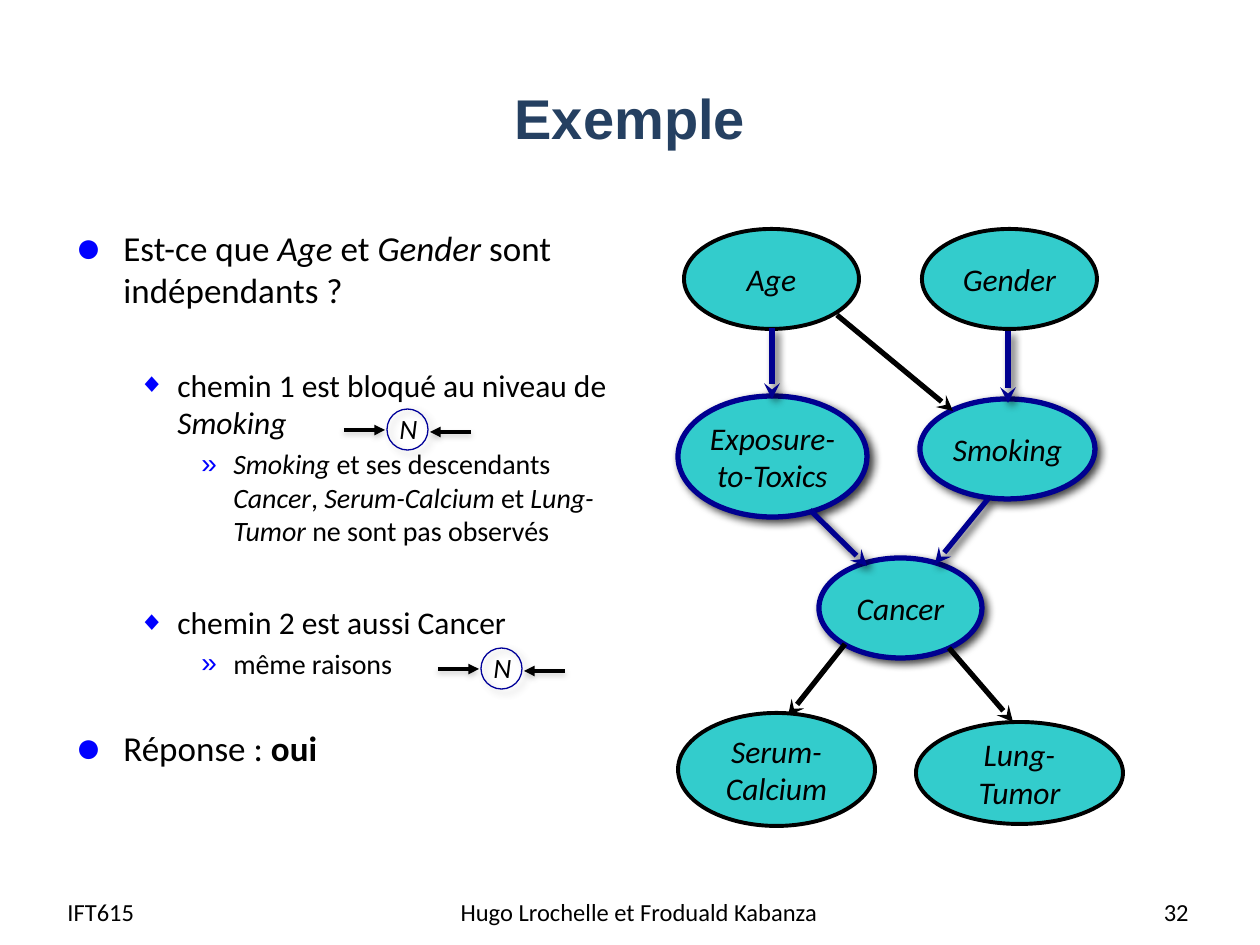
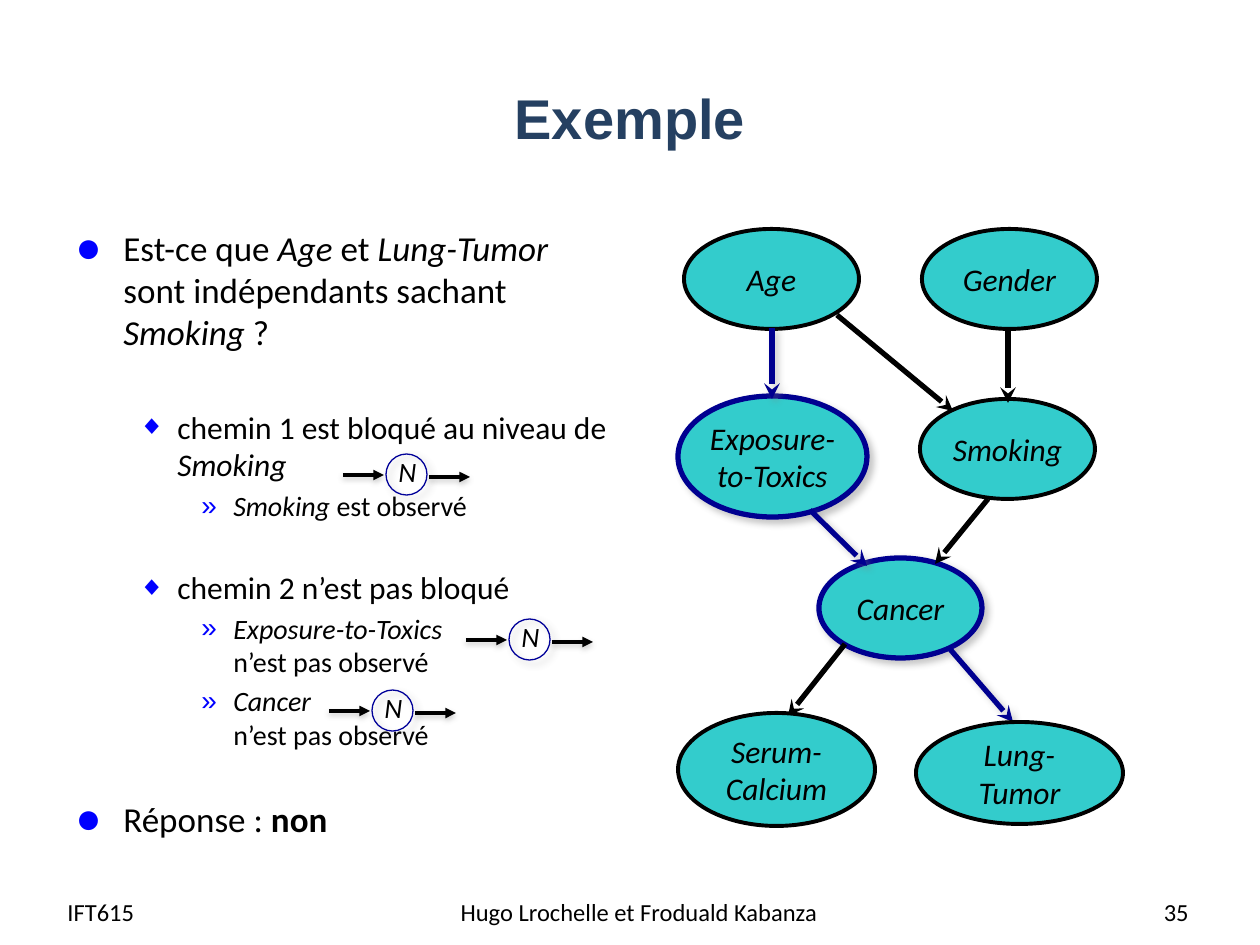
from dataclasses import dataclass

from lxml import etree
from pptx import Presentation
from pptx import util as u
from pptx.dml.color import RGBColor
from pptx.enum import shapes, text
from pptx.oxml import ns

SCALE = 914400 / 126


@dataclass(frozen=True)
class Theme:
    """Colours, fonts, type sizes and shadows of the deck."""
    ink: str = "000000"
    title: str = "254061"
    bullet: str = "0000FF"
    node: str = "33CCCC"
    hot: str = "000090"
    ring: str = "000099"
    head: str = "Arial"
    body: str = "Calibri"
    big: int = 32
    label: int = 18
    mark: int = 16
    foot: int = 14
    strong: tuple = ("000000", 75, 5, 3, 45)
    soft: tuple = ("808080", 43, 4, 3, 45)
    faint: tuple = ("808080", 38, 3.1, 1.6, 90)


T = Theme()

LEVELS = [
    dict(size=20, left=48, hang=48, char="●", pct=125),
    dict(size=18, left=102, hang=39, char="◆", pct=85),
    dict(size=16, left=158, hang=32, char="»", pct=100),
]

NODES = {
    "Smoking": (920, 399, 175, 100),
    "Gender": (922, 229, 175, 100),
    "Age": (684, 229, 175, 100),
    "Cancer": (819, 558, 163, 100),
    "Lung-\nTumor": (916, 722, 207, 102),
    "Serum-\nCalcium": (678, 713, 197, 113),
    "Exposure-\nto-Toxics": (678, 396, 189, 121),
}
SMOKE, GENDER, AGE, CANCER, LUNG, SERUM, TOXICS = NODES

EDGES = {
    (GENDER, SMOKE): (1008, 331, 1008, 403),
    (AGE, SMOKE): (837, 315, 953, 411),
    (SMOKE, CANCER): (988, 499, 935, 564),
    (CANCER, LUNG): (949, 648, 1013, 722),
    (CANCER, SERUM): (845, 644, 788, 716),
    (TOXICS, CANCER): (810, 510, 867, 566),
    (AGE, TOXICS): (772, 328, 772, 399),
}

LAYERS = [
    ([SMOKE, GENDER, AGE, CANCER], list(EDGES)[:5]),
    ([LUNG, SERUM, TOXICS], list(EDGES)[5:]),
]

SLIDES = [
    dict(
        page="32", shade=T.strong, inward=True, lift=4,
        hot=[SMOKE, CANCER, TOXICS, (GENDER, SMOKE), (SMOKE, CANCER),
             (TOXICS, CANCER), (AGE, TOXICS)],
        marks=[(387, 409), (481, 648)],
        lines=[
            (0, 0, "Est-ce que |Age| et |Gender |sont indépendants ?"),
            (1, 20, "chemin 1 est bloqué au niveau de |Smoking"),
            (2, 0, "|Smoking| et ses descendants |Cancer|, |Serum-Calcium"
                   "| et |Lung-Tumor| ne sont pas observés"),
            (1, 20, "chemin 2 est aussi Cancer"),
            (2, 0, "même raisons"),
        ],
        answer="oui",
    ),
    dict(
        page="35", shade=T.soft, inward=False, lift=6,
        hot=[CANCER, TOXICS, (CANCER, LUNG), (TOXICS, CANCER), (AGE, TOXICS)],
        marks=[(386, 454), (509, 619), (372, 690)],
        lines=[
            (0, 0, "Est-ce que |Age| et |Lung-Tumor| sont indépendants "
                   "sachant |Smoking| ?"),
            (1, 20, "chemin 1 est bloqué au niveau de |Smoking"),
            (2, 0, "|Smoking| est observé"),
            (1, 16, "chemin 2 n’est pas bloqué"),
            (2, 0, "|Exposure-to-Toxics|\nn’est pas observé"),
            (2, 0, "|Cancer|\nn’est pas observé"),
        ],
        answer="non",
    ),
]


def px(*nums):
    """Turn px lengths into EMU."""
    return [u.Emu(round(n * SCALE)) for n in nums]


def put(item, form):
    """Set attributes of an item from a dict."""
    for name, value in form.items():
        setattr(item, name, value)


def style(font, size, color=T.ink, **form):
    """Format a font."""
    put(font, {"name": T.body, "size": u.Pt(size), **form})
    font.color.rgb = RGBColor.from_string(color)


def stroke(item, color, width):
    """Set the outline of a shape or connector."""
    item.line.color.rgb = RGBColor.from_string(color)
    item.line.width = u.Pt(width)


def node(parent, tag, **attrs):
    """Append a drawing element to a parent."""
    return etree.SubElement(parent, ns.qn(tag), attrs)


def shade(item, shadow):
    """Replace the inherited shadow by the given one, or by none."""
    effects = node(item.element.spPr, "a:effectLst")
    if shadow:
        color, alpha, blur, dist, angle = shadow
        outer = node(effects, "a:outerShdw", blurRad=str(u.Pt(blur)),
                     dist=str(u.Pt(dist)), dir=str(angle * 60000),
                     algn="ctr", rotWithShape="0")
        fill = node(outer, "a:srgbClr", val=color)
        node(fill, "a:alpha", val=str(alpha * 1000))


def arrow(slide, ends, color, width, tip, shadow):
    """Draw a straight arrow with its tip at the second end."""
    line = slide.shapes.add_connector(
        shapes.MSO_CONNECTOR.STRAIGHT, *px(*ends))
    stroke(line, color, width)
    node(line.element.spPr.find(ns.qn("a:ln")), "a:tailEnd", type=tip)
    shade(line, shadow)


def oval(slide, box, color, width, shadow, fill=None):
    """Draw an ellipse, unfilled unless a fill is given."""
    shape = slide.shapes.add_shape(shapes.MSO_SHAPE.OVAL, *px(*box))
    if fill:
        shape.fill.solid()
        shape.fill.fore_color.rgb = RGBColor.from_string(fill)
    else:
        shape.fill.background()
    stroke(shape, color, width)
    shade(shape, shadow)
    return shape


def label(slide, box, words, size, align, wrap=True, **form):
    """Place a text box with one formatted line."""
    frame = slide.shapes.add_textbox(*px(*box)).text_frame
    put(frame, dict(word_wrap=wrap, vertical_anchor=text.MSO_ANCHOR.MIDDLE))
    para = frame.paragraphs[0]
    para.alignment = align
    run = para.add_run()
    run.text = words
    style(run.font, size, **form)


def title(slide, words):
    """Place and format the title."""
    shape = slide.shapes.title
    put(shape, dict(zip(("left", "top", "width", "height"),
                        px(63, 38, 1134, 158))))
    frame = shape.text_frame
    frame.text = words
    frame.vertical_anchor = text.MSO_ANCHOR.MIDDLE
    para = frame.paragraphs[0]
    para.alignment = text.PP_ALIGN.CENTER
    style(para.runs[0].font, T.big, T.title, name=T.head, bold=True)


def bullet(para, level, before):
    """Set indents, spacing and bullet of a paragraph."""
    para.space_before = u.Pt(before)
    left, hang = px(level["left"], -level["hang"])
    props = para._p.get_or_add_pPr()
    props.set("marL", str(left))
    props.set("indent", str(hang))
    node(node(props, "a:buClr"), "a:srgbClr", val=T.bullet)
    node(props, "a:buSzPct", val=str(level["pct"] * 1000))
    node(props, "a:buFont", typeface=T.head)
    node(props, "a:buChar", char=level["char"])


def body(slide, lines, answer):
    """Write the bulleted argument and its answer."""
    frame = slide.shapes.add_textbox(*px(63, 220, 557, 624)).text_frame
    frame.word_wrap = True
    rows = [(*line, "italic") for line in lines]
    rows.append((0, 16, f"Réponse : |{answer}", "bold"))
    for i, (depth, gap, words, accent) in enumerate(rows):
        para = frame.add_paragraph() if i else frame.paragraphs[0]
        level = LEVELS[depth]
        size = level["size"]
        bullet(para, level, round(0.2 * size + 1.4 * gap, 1) if i else 0)
        for j, part in enumerate(words.split("|")):
            if part.startswith("\n"):
                para.add_line_break()
            if part:
                run = para.add_run()
                run.text = part.lstrip("\n")
                style(run.font, size, **{accent: j % 2 == 1})


def graph(slide, hot, shadow):
    """Draw the network with its active path highlighted."""
    for names, links in LAYERS:
        for name in names:
            lit = name in hot
            shape = oval(slide, NODES[name], T.hot if lit else T.ink,
                         3 if lit else 2.25, shadow if lit else None, T.node)
            frame = shape.text_frame
            put(frame, dict(text=name, word_wrap=False,
                            vertical_anchor=text.MSO_ANCHOR.MIDDLE))
            for para in frame.paragraphs:
                para.alignment = text.PP_ALIGN.CENTER
                style(para.runs[0].font, T.label, italic=True)
        for link in links:
            lit = link in hot
            arrow(slide, EDGES[link], T.hot if lit else T.ink, 3, "stealth",
                  shadow if lit else None)


def mark(slide, x, y, inward, lift):
    """Draw a small node N between two arrows."""
    arrow(slide, (x - 43, y + 21, x - 2, y + 21), T.ink, 2, "triangle",
          T.faint)
    oval(slide, (x, y, 41, 41), T.ring, 0.75, T.soft)
    near, far = x + 43, x + 84
    start, end = (far, near) if inward else (near, far)
    arrow(slide, (start, y + 23, end, y + 23), T.ink, 2, "triangle", T.faint)
    label(slide, (x, y - lift, 47, 47), "N", T.mark, text.PP_ALIGN.LEFT,
          wrap=False, italic=True)


def footer(slide, page):
    """Write course, authors and page number."""
    for left, width, words, align in (
            (55, 243, "IFT615", text.PP_ALIGN.LEFT),
            (439, 400, "Hugo Lrochelle et Froduald Kabanza",
             text.PP_ALIGN.CENTER),
            (907, 294, page, text.PP_ALIGN.RIGHT)):
        label(slide, (left, 887, width, 50), words, T.foot, align)


def main():
    """Build the deck."""
    deck = Presentation()
    deck.slide_width, deck.slide_height = px(1260, 945)
    for data in SLIDES:
        slide = deck.slides.add_slide(deck.slide_layouts[5])
        title(slide, "Exemple")
        body(slide, data["lines"], data["answer"])
        footer(slide, data["page"])
        graph(slide, data["hot"], data["shade"])
        for x, y in data["marks"]:
            mark(slide, x, y, data["inward"], data["lift"])
    deck.save("out.pptx")


if __name__ == "__main__":
    main()
